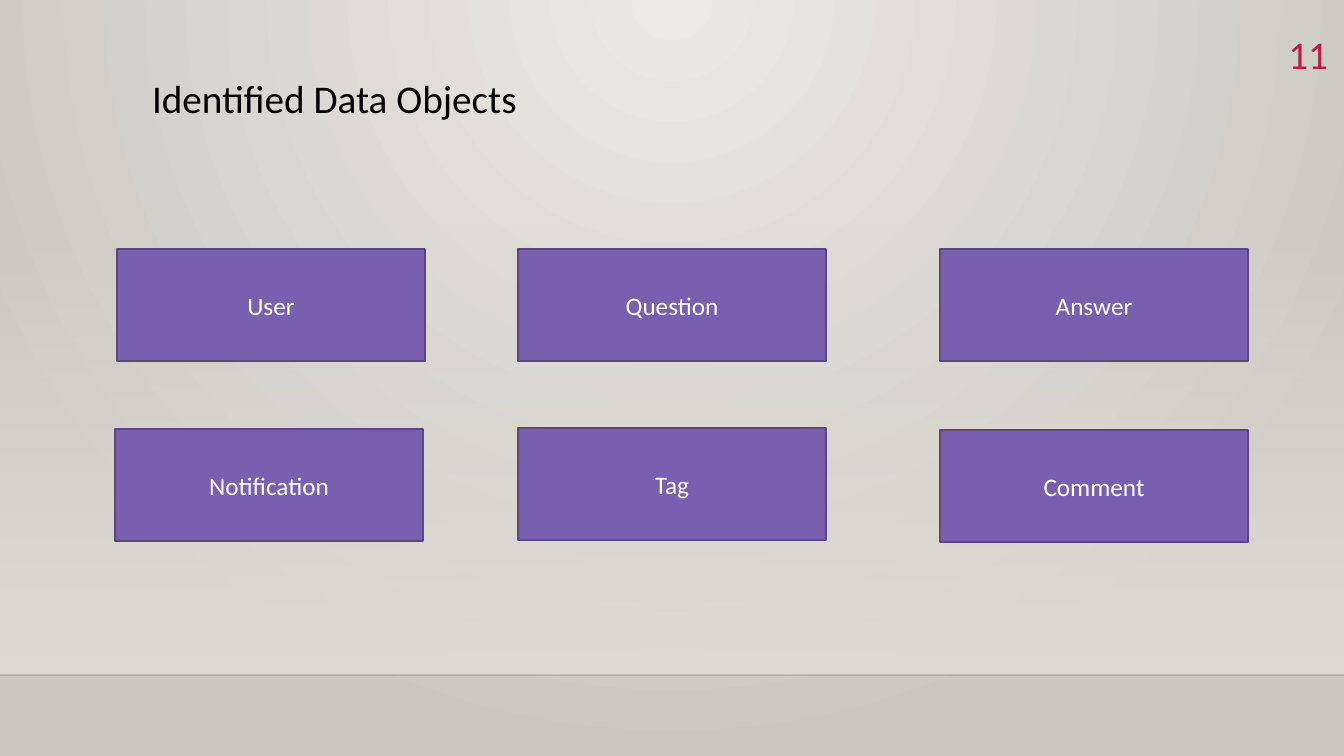
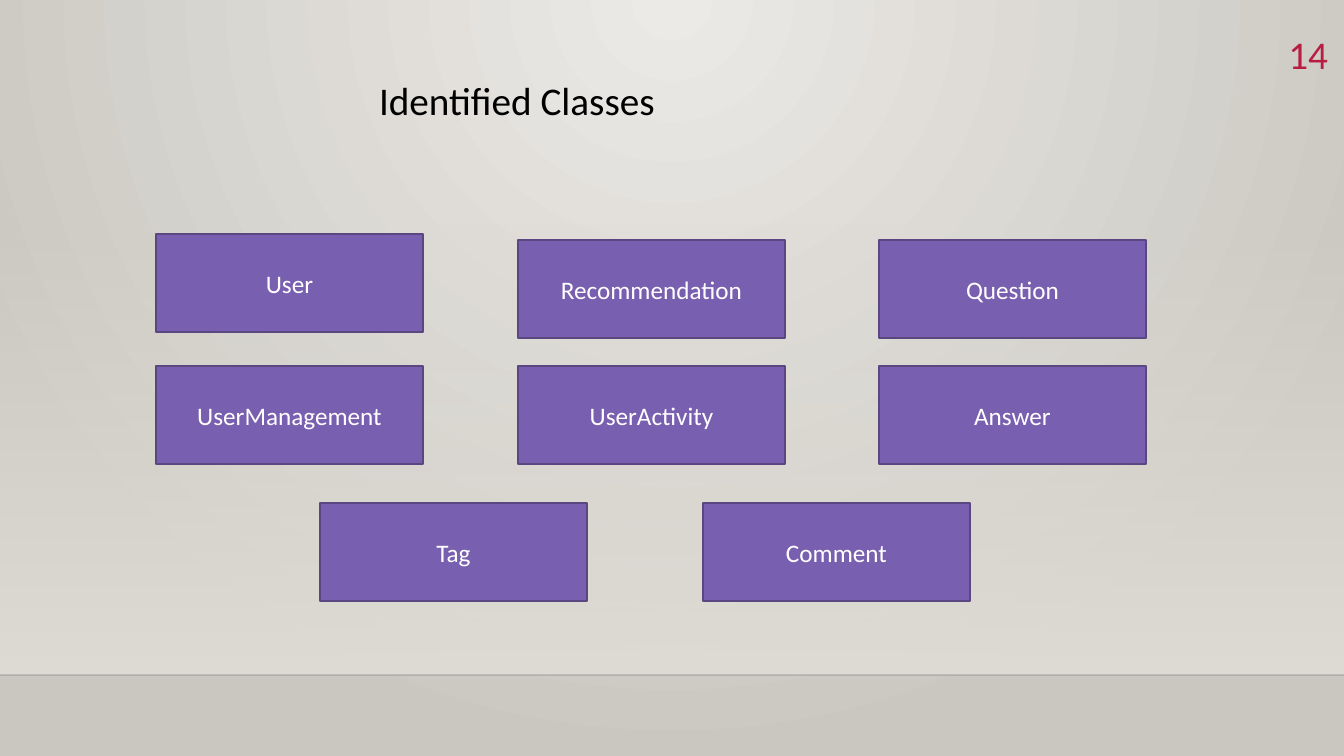
from dataclasses import dataclass

from lxml import etree
from pptx import Presentation
from pptx.dml.color import RGBColor
from pptx.enum.shapes import MSO_CONNECTOR, MSO_SHAPE
from pptx.enum.text import MSO_ANCHOR, MSO_AUTO_SIZE, PP_ALIGN
from pptx.oxml import parse_xml
from pptx.oxml.ns import nsdecls, qn
from pptx.util import Emu, Pt

RECTANGLE = MSO_SHAPE.RECTANGLE
STRAIGHT = MSO_CONNECTOR.STRAIGHT
TOP, MIDDLE = MSO_ANCHOR.TOP, MSO_ANCHOR.MIDDLE
LEFT, CENTER, RIGHT = PP_ALIGN.LEFT, PP_ALIGN.CENTER, PP_ALIGN.RIGHT
NO_FIT = MSO_AUTO_SIZE.NONE

PAGE_WIDTH, PAGE_HEIGHT = 1344, 756
EMU_PER_PIXEL = 12192000 / PAGE_WIDTH
HORIZON = 675
BAND_TOP = 223
TITLE_ONLY = 5


@dataclass(frozen=True)
class Theme:
    font: str = "Calibri"
    glow: str = "ECEAE7"
    edge: str = "CAC7C1"
    band: str = "DFDBD5"
    horizon: str = "000001"
    box: str = "795FAF"
    outline: str = "5A4681"
    box_text: str = "FFFFFF"
    title: str = "000000"
    number: str = "B71E42"
    heading_size: int = 28
    box_size: int = 18
    outline_width: float = 1.25
    horizon_width: float = 1


THEME = Theme()

PAGES = [
    {
        "number": "11",
        "title": "Identified Data Objects",
        "title_place": (142, 69, 639, 57),
        "box_size": (308, 112),
        "boxes": [
            ("User", 117, 249), ("Question", 518, 249), ("Answer", 940, 249),
            ("Notification", 115, 429), ("Tag", 518, 428), ("Comment", 940, 430),
        ],
    },
    {
        "number": "14",
        "title": "Identified Classes",
        "title_place": (369, 71, 478, 57),
        "box_size": (267, 98),
        "boxes": [
            ("User", 156, 234), ("Recommendation", 518, 240), ("Question", 879, 240),
            ("UserManagement", 156, 366), ("UserActivity", 518, 366), ("Answer", 879, 366),
            ("Tag", 320, 503), ("Comment", 703, 503),
        ],
    },
]


def px(*lengths):
    return [Emu(round(length * EMU_PER_PIXEL)) for length in lengths]


def apply(target, values):
    for name, value in values.items():
        setattr(target, name, value)


def write(shape, text, size, color, align, anchor):
    frame = shape.text_frame
    apply(frame, {"word_wrap": True, "auto_size": NO_FIT, "vertical_anchor": anchor})
    para = frame.paragraphs[0]
    para.alignment = align
    span = para.add_run()
    span.text = text
    apply(span.font, {"name": THEME.font, "size": Pt(size), "bold": False})
    span.font.color.rgb = RGBColor.from_string(color)


def gradient(stops, direction):
    marks = "".join(
        f'<a:gs pos="{place * 1000}"><a:srgbClr val="{color}">'
        f'<a:alpha val="{opacity * 1000}"/></a:srgbClr></a:gs>'
        for place, color, opacity in stops
    )
    return parse_xml(
        f'<a:gradFill {nsdecls("a")} rotWithShape="1">'
        f"<a:gsLst>{marks}</a:gsLst>{direction}</a:gradFill>"
    )


def replace_solid(properties, fill):
    properties.replace(properties.find(qn("a:solidFill")), fill)


def paint_background(master):
    master.background.fill.solid()
    properties = master.element.find(".//" + qn("p:bgPr"))
    circle = (
        '<a:path path="circle">'
        '<a:fillToRect l="43000" t="0" r="43000" b="100000"/></a:path>'
    )
    replace_solid(properties, gradient([(0, THEME.glow, 100), (100, THEME.edge, 100)], circle))


def add_band(page):
    band = page.shapes.add_shape(RECTANGLE, *px(0, BAND_TOP, PAGE_WIDTH, HORIZON - BAND_TOP))
    band.shadow.inherit = False
    band.line.fill.background()
    band.fill.solid()
    downward = '<a:lin ang="5400000" scaled="0"/>'
    fade = gradient([(0, THEME.band, 0), (100, THEME.band, 100)], downward)
    replace_solid(band.element.spPr, fade)
    return band


def add_horizon(page):
    horizon = page.shapes.add_connector(STRAIGHT, *px(0, HORIZON, PAGE_WIDTH, HORIZON))
    horizon.line.width = Pt(THEME.horizon_width)
    horizon.line.color.rgb = RGBColor.from_string(THEME.horizon)
    properties = horizon.element.spPr
    color = properties.find(".//" + qn("a:srgbClr"))
    etree.SubElement(color, qn("a:alpha")).set("val", "20000")
    etree.SubElement(properties, qn("a:effectLst"))
    return horizon


def dress_master(master, page):
    paint_background(master)
    tree = master.shapes.element if hasattr(master.shapes, "element") else master.element.cSld.spTree
    for identity, shape in enumerate((add_band(page), add_horizon(page)), start=20):
        shape.element.find(".//" + qn("p:cNvPr")).set("id", str(identity))
        tree.append(shape.element)


def set_title(page, text, place):
    title = page.shapes.title
    apply(title, dict(zip(("left", "top", "width", "height"), px(*place))))
    write(title, text, THEME.heading_size, THEME.title, LEFT, TOP)


def add_number(page, number):
    box = page.shapes.add_textbox(*px(1248, 25, 90, 55))
    write(box, number, THEME.heading_size, THEME.number, RIGHT, TOP)


def add_box(page, name, place):
    box = page.shapes.add_shape(RECTANGLE, *px(*place))
    box.shadow.inherit = False
    box.fill.solid()
    box.fill.fore_color.rgb = RGBColor.from_string(THEME.box)
    box.line.color.rgb = RGBColor.from_string(THEME.outline)
    box.line.width = Pt(THEME.outline_width)
    write(box, name, THEME.box_size, THEME.box_text, CENTER, MIDDLE)


def fill_page(page, content):
    set_title(page, content["title"], content["title_place"])
    add_number(page, content["number"])
    for name, left, top in content["boxes"]:
        add_box(page, name, (left, top, *content["box_size"]))


def main():
    deck = Presentation()
    deck.slide_width, deck.slide_height = px(PAGE_WIDTH, PAGE_HEIGHT)
    pages = [deck.slides.add_slide(deck.slide_layouts[TITLE_ONLY]) for _ in PAGES]
    dress_master(deck.slide_master, pages[0])
    for page, content in zip(pages, PAGES):
        fill_page(page, content)
    deck.save("out.pptx")


main()
